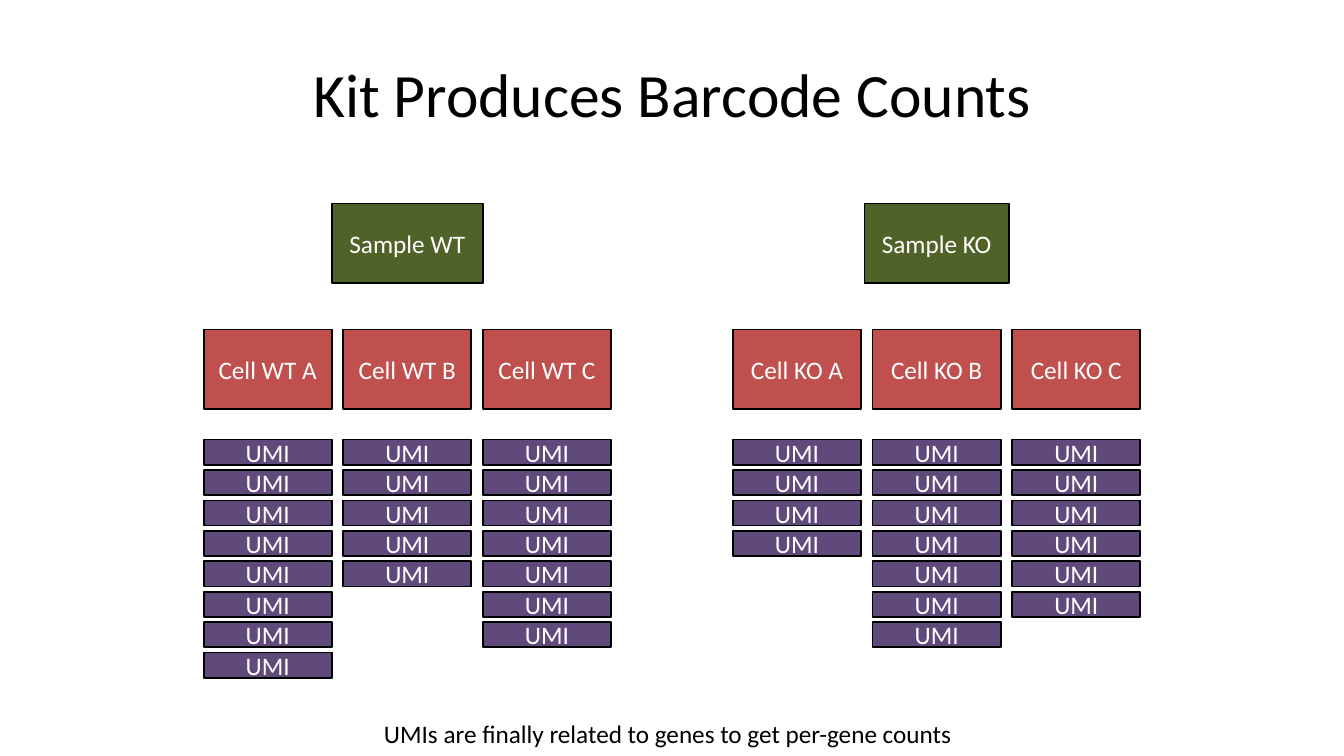
from pptx import Presentation
from pptx.dml.color import RGBColor
from pptx.enum.shapes import MSO_SHAPE
from pptx.enum.text import MSO_ANCHOR, MSO_AUTO_SIZE, PP_ALIGN
from pptx.util import Inches, Pt

FONT = "Calibri"
BLACK, WHITE = "000000", "FFFFFF"
GREEN, RED, PURPLE = "4F6228", "C0504D", "604A7B"
CELL_W, CELL_PITCH = 1.27, 1.385
BOX_H, UMI_H, UMI_PITCH = 0.79, 0.25, 0.302
SAMPLE_TOP, CELL_TOP, UMI_TOP = 2.02, 3.27, 4.36
SAMPLES = [
    ("WT", 2.02, 1.5, {"A": 8, "B": 5, "C": 7}),
    ("KO", 7.27, 1.43, {"A": 4, "B": 7, "C": 6}),
]


def rgb(color):
    """Turn a hex string into a colour."""
    return RGBColor.from_string(color)


def write(tf, text, size, color, align):
    """Set and format a single paragraph of text."""
    tf.text = text
    p = tf.paragraphs[0]
    p.alignment = align
    font = p.runs[0].font
    font.name, font.size = FONT, Pt(size)
    font.color.rgb = rgb(color)


def add_title(slide, text):
    """Place and fill the title placeholder."""
    sp = slide.shapes.title
    sp.left, sp.top = Inches(0.67), Inches(0.3)
    sp.width, sp.height = Inches(12), Inches(1.25)
    sp.text_frame.vertical_anchor = MSO_ANCHOR.MIDDLE
    write(sp.text_frame, text, 44, BLACK, PP_ALIGN.CENTER)


def add_box(shapes, text, fill, left, top, width, height):
    """Add a filled, outlined rectangle with a centred label."""
    sp = shapes.add_shape(MSO_SHAPE.RECTANGLE, Inches(left), Inches(top),
                          Inches(width), Inches(height))
    sp.shadow.inherit = False
    sp.fill.solid()
    sp.fill.fore_color.rgb = rgb(fill)
    sp.line.color.rgb = rgb(BLACK)
    sp.line.width = Pt(1.25)
    sp.text_frame.vertical_anchor = MSO_ANCHOR.MIDDLE
    write(sp.text_frame, text, 18, WHITE, PP_ALIGN.CENTER)


def add_sample(slide, name, left, width, umi_counts):
    """Group a sample with its cells and their stacks of UMIs."""
    shapes = slide.shapes.add_group_shape().shapes
    cells_width = (len(umi_counts) - 1) * CELL_PITCH + CELL_W
    add_box(shapes, f"Sample {name}", GREEN,
            left + (cells_width - width) / 2, SAMPLE_TOP, width, BOX_H)
    for col, (cell, count) in enumerate(umi_counts.items()):
        x = left + col * CELL_PITCH
        add_box(shapes, f"Cell {name} {cell}", RED, x, CELL_TOP, CELL_W, BOX_H)
        for row in range(count):
            add_box(shapes, "UMI", PURPLE, x, UMI_TOP + row * UMI_PITCH,
                    CELL_W, UMI_H)


def add_caption(slide, text):
    """Add the line of text below the diagram."""
    sp = slide.shapes.add_textbox(Inches(3.71), Inches(7.08),
                                  Inches(5.91), Inches(0.4))
    tf = sp.text_frame
    tf.word_wrap = False
    tf.auto_size = MSO_AUTO_SIZE.SHAPE_TO_FIT_TEXT
    write(tf, text, 18, BLACK, PP_ALIGN.LEFT)


def main():
    """Build and save the slide."""
    prs = Presentation()
    prs.slide_width, prs.slide_height = Inches(13.33), Inches(7.5)
    slide = prs.slides.add_slide(prs.slide_layouts[5])
    add_title(slide, "Kit Produces Barcode Counts")
    for sample in SAMPLES:
        add_sample(slide, *sample)
    add_caption(slide, "UMIs are finally related to genes to get per-gene counts")
    prs.save("out.pptx")


if __name__ == "__main__":
    main()
